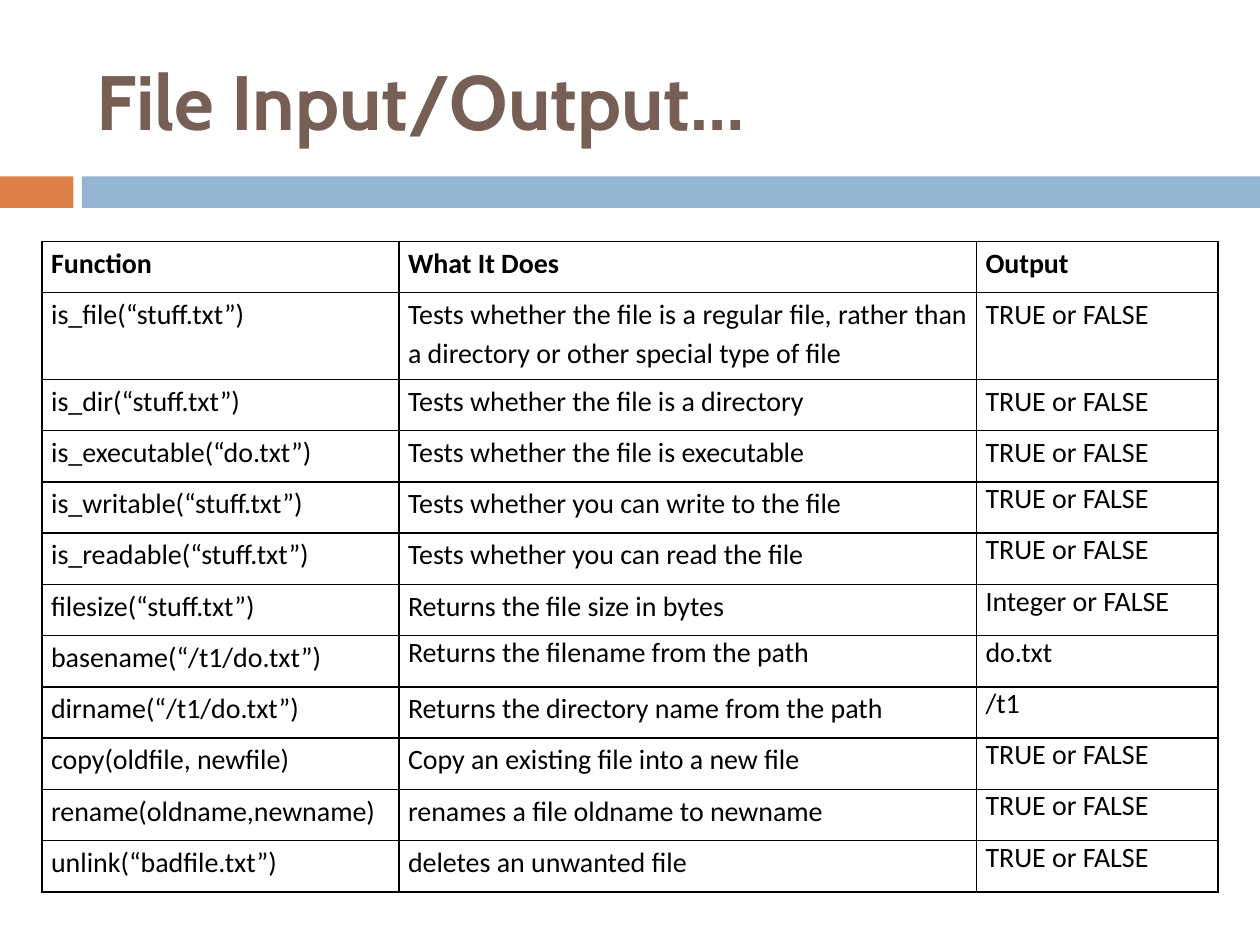
from lxml.etree import SubElement
from pptx import Presentation
from pptx.dml.color import RGBColor
from pptx.enum.shapes import MSO_SHAPE
from pptx.enum.text import MSO_ANCHOR, PP_ALIGN
from pptx.oxml.ns import qn
from pptx.util import Pt

TITLE = "File Input/Output…"
BARS = [(0, 42, "DD8047"), (46.8, 673.2, "94B6D2")]
COLS = [204, 330, 138]
ROW_H, TALL_ROW_H = 29.3, 49.5
BOOL = "TRUE or FALSE"
ROWS = [
    ("Function", "What It Does", "Output"),
    ("is_file(“stuff.txt”)", "Tests whether the file is a regular file, rather than "
     "a directory or other special type of file", BOOL),
    ("is_dir(“stuff.txt”)", "Tests whether the file is a directory", BOOL),
    ("is_executable(“do.txt”)", "Tests whether the file is executable", BOOL),
    ("is_writable(“stuff.txt”)", "Tests whether you can write to the file", BOOL),
    ("is_readable(“stuff.txt”)", "Tests whether you can read the file", BOOL),
    ("filesize(“stuff.txt”)", "Returns the file size in bytes", "Integer or FALSE"),
    ("basename(“/t1/do.txt”)", "Returns the filename from the path", "do.txt"),
    ("dirname(“/t1/do.txt”)", "Returns the directory name from the path", "/t1"),
    ("copy(oldfile, newfile)", "Copy an existing file into a new file", BOOL),
    ("rename(oldname,newname)", "renames a file oldname to newname", BOOL),
    ("unlink(“badfile.txt”)", "deletes an unwanted file", BOOL),
]
TALL_ROW = 1
SINGLE_SPACED = {(r, 2) for r in range(4, len(ROWS))} | {(7, 1)}


def color(value):
    return RGBColor.from_string(value)


def set_font(p, name, size, rgb, bold):
    p.font.name, p.font.size, p.font.bold = name, Pt(size), bold
    p.font.color.rgb = color(rgb)


def add_borders(cell, rgb, width):
    tcPr = cell._tc.get_or_add_tcPr()
    for side in ("lnL", "lnR", "lnT", "lnB"):
        ln = SubElement(tcPr, qn(f"a:{side}"), w=str(Pt(width)))
        fill = SubElement(ln, qn("a:solidFill"))
        SubElement(fill, qn("a:srgbClr"), val=rgb)


def add_bars(s):
    for left, width, rgb in BARS:
        sp = s.shapes.add_shape(MSO_SHAPE.RECTANGLE, Pt(left), Pt(100.8), Pt(width), Pt(18))
        sp.shadow.inherit = False
        sp.fill.solid()
        sp.fill.fore_color.rgb = color(rgb)
        sp.line.fill.background()


def add_title(s):
    sp = s.shapes.title
    sp.left, sp.top, sp.width, sp.height = Pt(48), Pt(18), Pt(642), Pt(78)
    tf = sp.text_frame
    tf.text = TITLE
    tf.vertical_anchor = MSO_ANCHOR.MIDDLE
    p = tf.paragraphs[0]
    p.alignment = PP_ALIGN.LEFT
    set_font(p, "Cabin", 44, "775F55", True)


def fill_cell(cell, text, header, single):
    cell.text = text
    cell.margin_left = cell.margin_right = Pt(5.2)
    cell.margin_top = cell.margin_bottom = 0
    add_borders(cell, "000000", 1)
    cell.fill.background()
    p = cell.text_frame.paragraphs[0]
    set_font(p, "Calibri", 16, "000000", header)
    if not single:
        p.alignment, p.line_spacing = PP_ALIGN.JUSTIFY, 1.15


def add_function_table(s):
    heights = [TALL_ROW_H if r == TALL_ROW else ROW_H for r in range(len(ROWS))]
    table = s.shapes.add_table(len(ROWS), len(COLS), Pt(24), Pt(138),
                               Pt(sum(COLS)), Pt(sum(heights))).table
    for col, width in zip(table.columns, COLS):
        col.width = Pt(width)
    for r, (row, height) in enumerate(zip(ROWS, heights)):
        table.rows[r].height = Pt(height)
        for c, text in enumerate(row):
            fill_cell(table.cell(r, c), text, r == 0, (r, c) in SINGLE_SPACED)


def main():
    """Build the File Input/Output slide with its table of functions."""
    prs = Presentation()
    prs.slide_width, prs.slide_height = Pt(720), Pt(540)
    s = prs.slides.add_slide(prs.slide_layouts[5])
    add_bars(s)
    add_title(s)
    add_function_table(s)
    prs.save("out.pptx")


if __name__ == "__main__":
    main()
